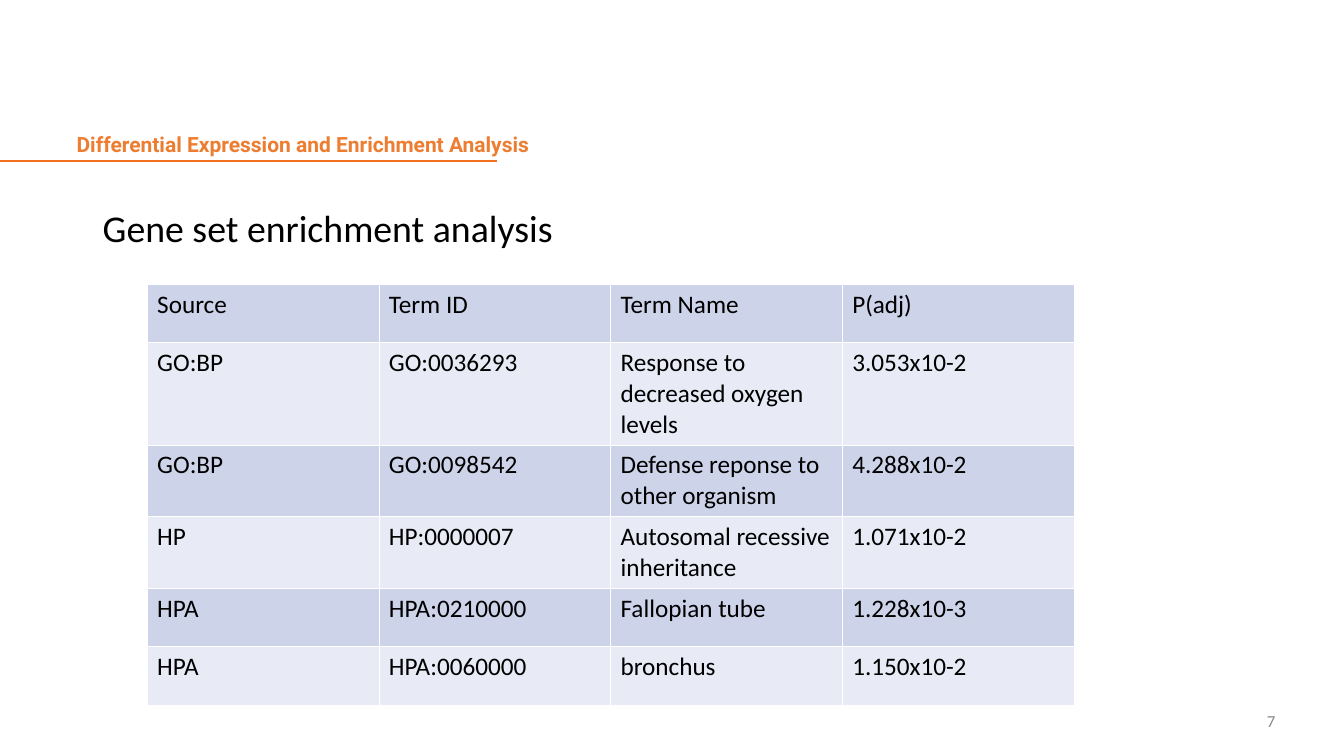
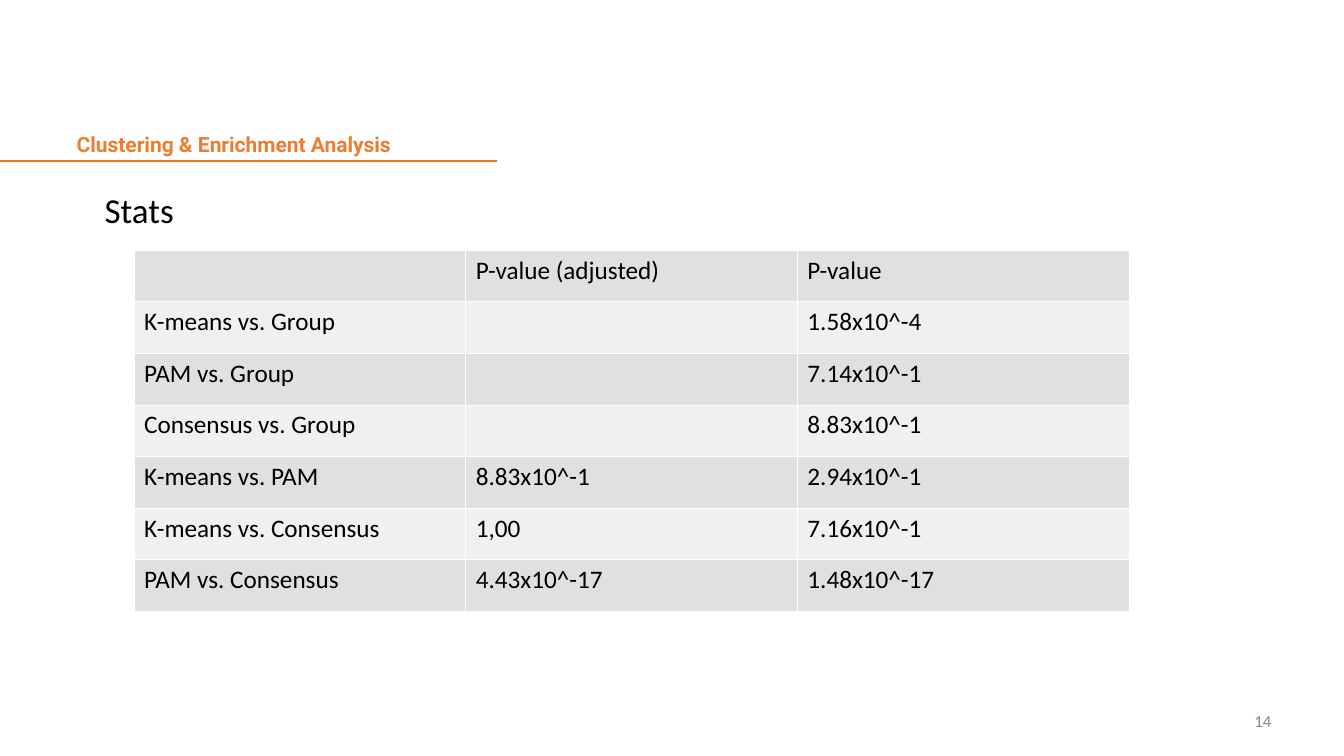
"""Build two slides of enrichment and clustering result tables."""
from dataclasses import dataclass

from lxml.etree import SubElement
from pptx import Presentation
from pptx.dml.color import RGBColor
from pptx.enum.shapes import MSO_CONNECTOR
from pptx.enum.text import MSO_ANCHOR, MSO_AUTO_SIZE, PP_ALIGN
from pptx.oxml.ns import qn
from pptx.presentation import Presentation as Deck
from pptx.slide import Slide
from pptx.text.text import TextFrame
from pptx.util import Cm, Pt

COLORS = {
    "title": "ED7D31",
    "rule": "F37021",
    "text": "000000",
    "page": "888888",
    "border": "FFFFFF",
    "blue_dark": "CDD4EA",
    "blue_light": "E8EBF5",
    "gray_dark": "E0E0E0",
    "gray_light": "F0F0F0",
}
BODY_FONT = "Calibri"
TITLE_FONT = "Roboto"
INSET = Cm(0.13)


@dataclass(frozen=True)
class Box:
    left: float
    top: float
    width: float
    height: float


@dataclass(frozen=True)
class Results:
    left: float
    top: float
    column_width: float
    row_heights: list[float]
    bands: tuple[str, str]
    rows: list[tuple[str, ...]]


@dataclass(frozen=True)
class Page:
    title: str
    number: str
    number_box: Box
    heading: str
    heading_box: Box
    heading_size: int
    results: Results


TITLE_BOX = Box(1.8, 1.37, 29.21, 2.72)

PAGES = [
    Page(
        title="Differential Expression and Enrichment Analysis",
        number="7",
        number_box=Box(30.25, 17.78, 2.03, 0.76),
        heading="Gene set enrichment analysis",
        heading_box=Box(2.46, 5.03, 11.63, 1.4),
        heading_size=27,
        results=Results(
            3.71, 7.16, 5.84, [1.47, 2.34, 1.52, 1.52, 1.47, 1.47],
            ("blue_dark", "blue_light"),
            [
                ("Source", "Term ID", "Term Name", "P(adj)"),
                ("GO:BP", "GO:0036293", "Response to decreased oxygen levels", "3.053x10-2"),
                ("GO:BP", "GO:0098542", "Defense reponse to other organism", "4.288x10-2"),
                ("HP", "HP:0000007", "Autosomal recessive inheritance", "1.071x10-2"),
                ("HPA", "HPA:0210000", "Fallopian tube", "1.228x10-3"),
                ("HPA", "HPA:0060000", "bronchus", "1.150x10-2"),
            ],
        ),
    ),
    Page(
        title="Clustering & Enrichment Analysis",
        number="14",
        number_box=Box(30.15, 17.78, 2.03, 0.76),
        heading="Stats",
        heading_box=Box(2.51, 4.62, 2.01, 1.32),
        heading_size=25,
        results=Results(
            3.38, 6.3, 8.36, [1.3] * 7,
            ("gray_dark", "gray_light"),
            [
                ("", "P-value (adjusted)", "P-value"),
                ("K-means vs. Group", "", "1.58x10^-4"),
                ("PAM vs. Group", "", "7.14x10^-1"),
                ("Consensus vs. Group", "", "8.83x10^-1"),
                ("K-means vs. PAM", "8.83x10^-1", "2.94x10^-1"),
                ("K-means vs. Consensus", "1,00", "7.16x10^-1"),
                ("PAM vs. Consensus", "4.43x10^-17", "1.48x10^-17"),
            ],
        ),
    ),
]


def rgb(name: str) -> RGBColor:
    return RGBColor.from_string(COLORS[name])


def write(frame: TextFrame, text: str, *, size: int, color: str = "text",
          font: str = BODY_FONT, bold: bool = False,
          align: PP_ALIGN = PP_ALIGN.LEFT, line_spacing: float = 1.0) -> None:
    paragraph = frame.paragraphs[0]
    paragraph.alignment = align
    paragraph.line_spacing = line_spacing
    paragraph.space_before = Pt(0)
    run = paragraph.add_run()
    run.text = text
    run.font.size = Pt(size)
    run.font.name = font
    run.font.bold = bold
    run.font.color.rgb = rgb(color)


def set_frame(frame: TextFrame, anchor: MSO_ANCHOR, wrap: bool = True) -> None:
    frame.margin_left = frame.margin_right = INSET
    frame.margin_top = frame.margin_bottom = INSET
    frame.vertical_anchor = anchor
    frame.word_wrap = wrap
    frame.auto_size = MSO_AUTO_SIZE.NONE


def add_text_box(slide: Slide, box: Box, anchor: MSO_ANCHOR, wrap: bool) -> TextFrame:
    frame = slide.shapes.add_textbox(
        Cm(box.left), Cm(box.top), Cm(box.width), Cm(box.height)).text_frame
    set_frame(frame, anchor, wrap)
    return frame


def add_title(slide: Slide, text: str) -> None:
    title = slide.shapes.title
    title.left, title.top = Cm(TITLE_BOX.left), Cm(TITLE_BOX.top)
    title.width, title.height = Cm(TITLE_BOX.width), Cm(TITLE_BOX.height)
    set_frame(title.text_frame, MSO_ANCHOR.BOTTOM)
    write(title.text_frame, text, size=15, color="title", font=TITLE_FONT,
          bold=True, line_spacing=0.9)


def add_rule(slide: Slide) -> None:
    rule = slide.shapes.add_connector(
        MSO_CONNECTOR.STRAIGHT, Cm(0), Cm(4.06), Cm(12.52), Cm(4.06))
    rule.line.color.rgb = rgb("rule")
    rule.line.width = Pt(1)
    SubElement(rule._element.spPr, qn("a:effectLst"))


def add_borders(cell) -> None:
    properties = cell._tc.get_or_add_tcPr()
    for side in ("a:lnL", "a:lnR", "a:lnT", "a:lnB"):
        border = SubElement(properties, qn(side), w=str(Pt(0.45)))
        fill = SubElement(border, qn("a:solidFill"))
        SubElement(fill, qn("a:srgbClr"), val=COLORS["border"])


def add_results(slide: Slide, results: Results) -> None:
    column_count = len(results.rows[0])
    table = slide.shapes.add_table(
        len(results.rows), column_count, Cm(results.left), Cm(results.top),
        Cm(results.column_width * column_count), Cm(sum(results.row_heights))).table
    table.first_row = table.horz_banding = False
    for column in table.columns:
        column.width = Cm(results.column_width)
    for index, (values, height) in enumerate(zip(results.rows, results.row_heights)):
        table.rows[index].height = Cm(height)
        for cell, value in zip(table.rows[index].cells, values):
            add_borders(cell)
            cell.fill.solid()
            cell.fill.fore_color.rgb = rgb(results.bands[index % 2])
            if value:
                write(cell.text_frame, value, size=18)


def add_page(deck: Deck, page: Page) -> None:
    slide = deck.slides.add_slide(deck.slide_layouts.get_by_name("Title Only"))
    add_rule(slide)
    add_title(slide, page.title)
    number = add_text_box(slide, page.number_box, MSO_ANCHOR.MIDDLE, wrap=True)
    write(number, page.number, size=12, color="page", align=PP_ALIGN.RIGHT)
    heading = add_text_box(slide, page.heading_box, MSO_ANCHOR.TOP, wrap=False)
    write(heading, page.heading, size=page.heading_size)
    add_results(slide, page.results)


def main() -> None:
    deck = Presentation()
    deck.slide_width, deck.slide_height = Cm(33.88), Cm(19.05)
    for page in PAGES:
        add_page(deck, page)
    deck.save("out.pptx")


if __name__ == "__main__":
    main()
